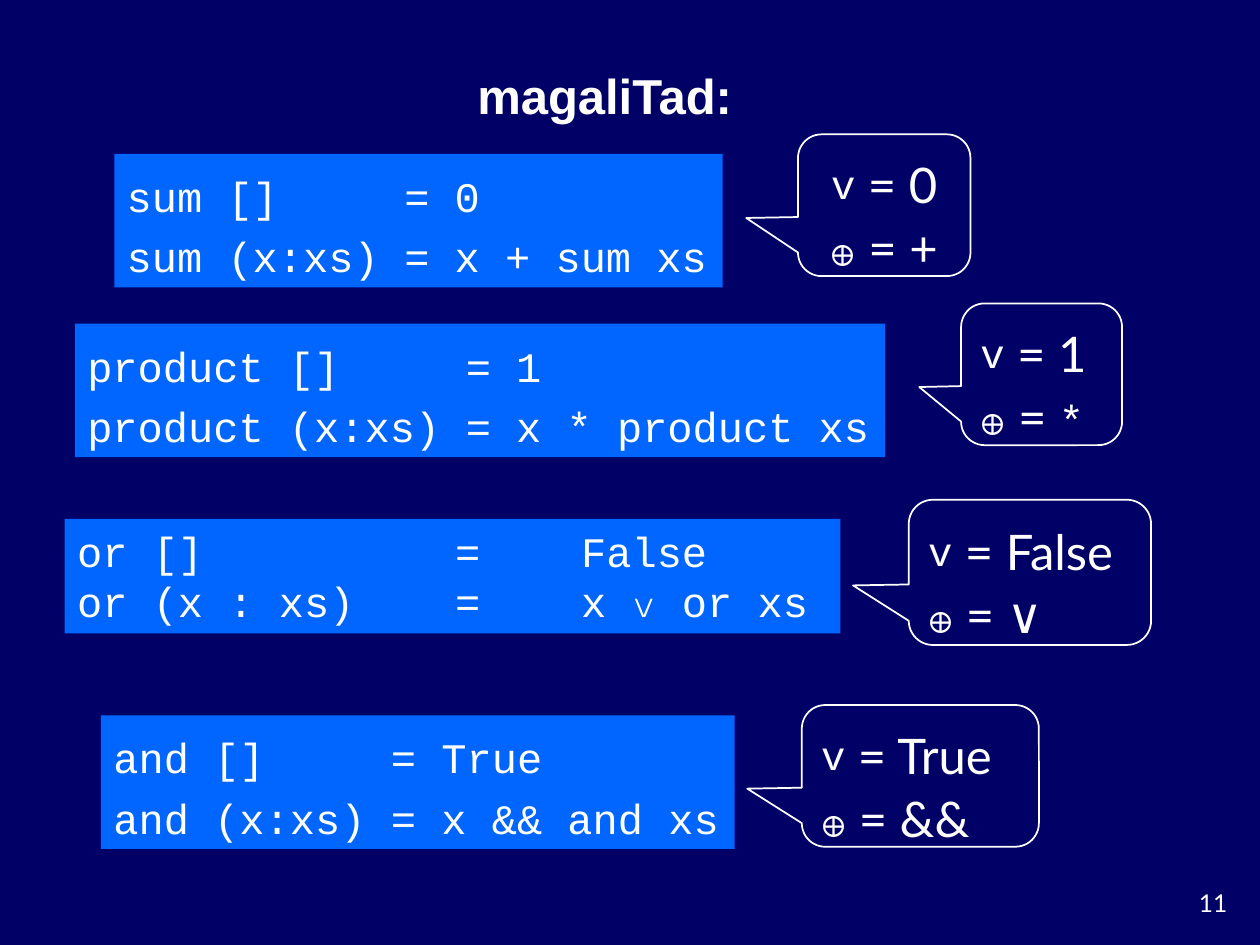
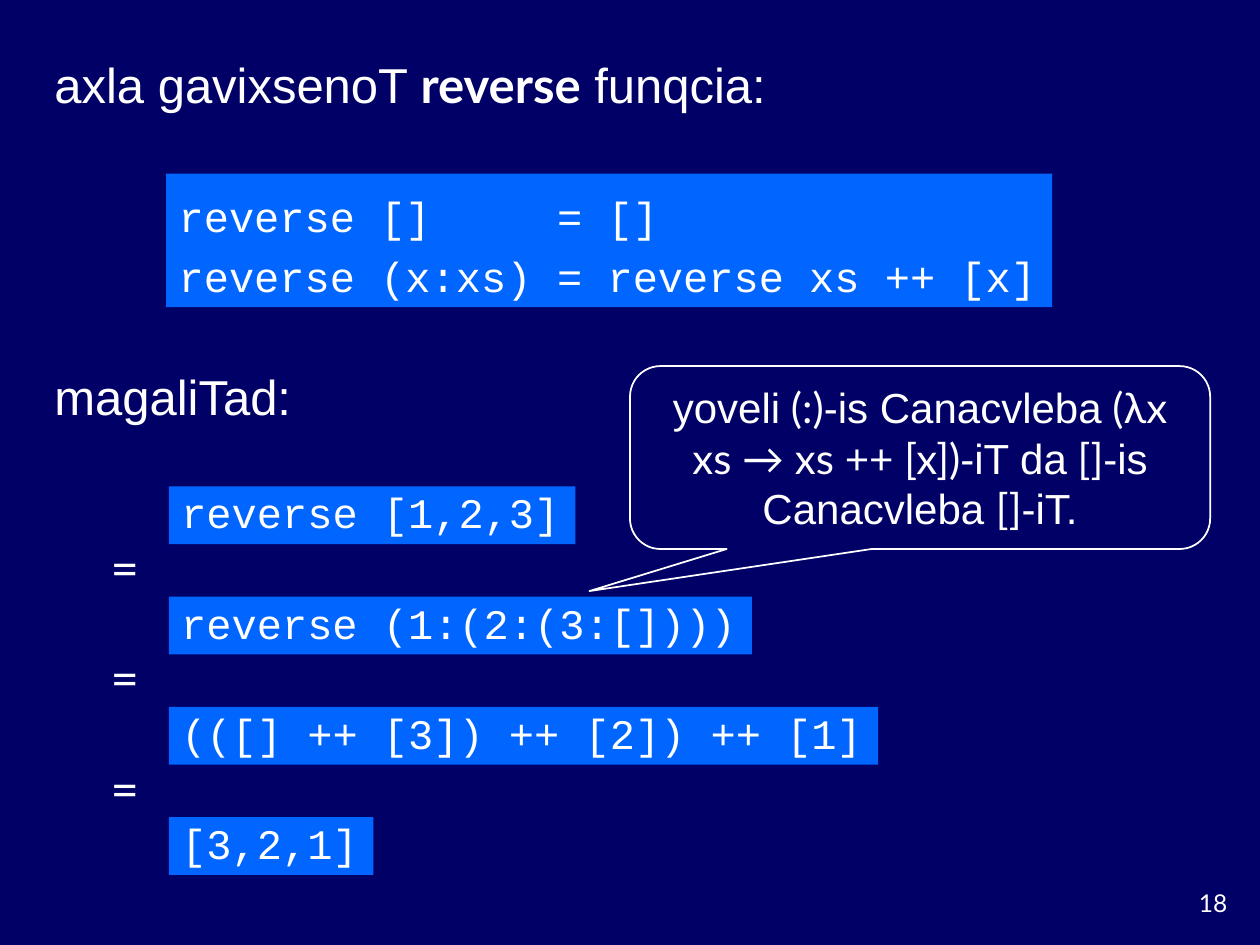
from dataclasses import dataclass
from typing import Optional

from lxml.etree import SubElement
from pptx import Presentation
from pptx.dml.color import RGBColor
from pptx.enum.shapes import MSO_SHAPE as SHAPE
from pptx.enum.text import MSO_ANCHOR as ANCHOR, PP_ALIGN as ALIGN
from pptx.oxml.ns import qn
from pptx.util import Pt

COLORS = {"navy": "000066", "blue": "0066FF", "white": "FFFFFF"}
SANS, BODY, MONO = "Arial", "Lato", "Courier New"
CODE_SIZE, CHAR_WIDTH, CODE_PADDING = 24, 14.42, 16


@dataclass
class Run:
    text: str
    font: str = BODY
    size: float = 28
    bold: bool = False
    baseline: int = 0


@dataclass
class Code:
    """Lines of code; cells of a line are aligned at tab stops."""
    left: float
    top: float
    lines: list[list[str]]
    height: float = 76.3
    spacing: float = 1.2
    width: Optional[float] = None
    stops: Optional[list[float]] = None
    anchor: ANCHOR = ANCHOR.MIDDLE


@dataclass
class Callout:
    left: float
    top: float
    width: float
    height: float
    tip: tuple[float, float]
    lines: list[list[Run]]
    align: ALIGN = ALIGN.LEFT


def rgb(name: str) -> RGBColor:
    return RGBColor.from_string(COLORS[name])


def write(sp, lines: list[list[Run]], align=ALIGN.LEFT, anchor=ANCHOR.MIDDLE,
          spacing: Optional[float] = None, stops=()) -> None:
    """Fill a shape with paragraphs, sharing font settings where runs agree."""
    tf = sp.text_frame
    tf.word_wrap = True
    tf.vertical_anchor = anchor
    for i, runs in enumerate(lines):
        p = tf.add_paragraph() if i else tf.paragraphs[0]
        p.alignment = align
        if spacing:
            p.line_spacing = spacing
        if stops:
            tabs = SubElement(p._p.get_or_add_pPr(), qn("a:tabLst"))
            for stop in stops:
                SubElement(tabs, qn("a:tab"), pos=str(int(Pt(stop))), algn="l")
        p.font.color.rgb = rgb("white")
        same = len({(run.font, run.size, run.bold) for run in runs}) == 1
        for run in runs:
            r = p.add_run()
            r.text = run.text
            font = p.font if same else r.font
            font.name, font.size, font.bold = run.font, Pt(run.size), run.bold
            if run.baseline:
                r._r.get_or_add_rPr().set("baseline", str(run.baseline * 1000))


def add_text(s, left: float, top: float, width: float, height: float,
             runs: list[Run], align=ALIGN.LEFT, anchor=ANCHOR.MIDDLE) -> None:
    sp = s.shapes.add_textbox(Pt(left), Pt(top), Pt(width), Pt(height))
    write(sp, [runs], align, anchor)


def add_code(s, code: Code) -> None:
    # The first column is as wide as its longest cell plus one character
    column = max(len(line[0]) for line in code.lines) + 1
    stops = code.stops
    if stops is None:
        stops = [column * CHAR_WIDTH] if len(code.lines) > 1 else []
    longest = max(column + len(line[1]) if len(line) > 1 else len(line[0])
                  for line in code.lines)
    width = code.width or longest * CHAR_WIDTH + CODE_PADDING
    sp = s.shapes.add_shape(SHAPE.RECTANGLE, Pt(code.left), Pt(code.top),
                            Pt(width), Pt(code.height))
    sp.shadow.inherit = False
    sp.fill.solid()
    sp.fill.fore_color.rgb = rgb("blue")
    sp.line.fill.background()
    lines = [[Run("\t".join(line), MONO, CODE_SIZE)] for line in code.lines]
    write(sp, lines, anchor=code.anchor, spacing=code.spacing, stops=stops)


def add_callout(s, callout: Callout) -> None:
    sp = s.shapes.add_shape(SHAPE.ROUNDED_RECTANGULAR_CALLOUT,
                            Pt(callout.left), Pt(callout.top),
                            Pt(callout.width), Pt(callout.height))
    sp.shadow.inherit = False
    sp.fill.background()
    sp.line.color.rgb = rgb("white")
    sp.line.width = Pt(1)
    sp.adjustments[0], sp.adjustments[1] = callout.tip
    write(sp, callout.lines, callout.align)


def fold_lines(value: str, operator: Run) -> list[list[Run]]:
    """The start value and operator that define a fold."""
    return [[Run("v", MONO, 40, baseline=6), Run(f" = {value}")],
            [Run("⊕", MONO, 24), Run(" = "), operator]]


def new_slide(prs, number: int):
    s = prs.slides.add_slide(prs.slide_layouts[6])
    s.background.fill.solid()
    s.background.fill.fore_color.rgb = rgb("navy")
    add_text(s, 660, 504, 48.5, 24, [Run(str(number), size=14)],
             ALIGN.RIGHT, ANCHOR.TOP)
    return s


def build_folds(prs) -> None:
    s = new_slide(prs, 11)
    add_text(s, 26.5, 34, 638, 41, [Run("magaliTad:", SANS, bold=True)], ALIGN.CENTER)

    # Recursive definitions
    for code in (
        Code(65.3, 87.9, [["sum []", "= 0"], ["sum (x:xs)", "= x + sum xs"]]),
        Code(42.8, 185, [["product []", "= 1"],
                         ["product (x:xs)", "= x * product xs"]]),
        Code(37, 296.5, [["or []", "=", "False"], ["or (x : xs)", "=", "x ∨ or xs"]],
             height=65.4, spacing=1.0, width=443.3, stops=[216, 288],
             anchor=ANCHOR.TOP),
        Code(57.7, 408.8, [["and []", "= True"], ["and (x:xs)", "= x && and xs"]]),
    ):
        add_code(s, code)

    # Fold parameters
    for callout in (
        Callout(456, 76.8, 98.6, 81, (-0.8, 0.09), fold_lines("0", Run("+")),
                ALIGN.CENTER),
        Callout(549.2, 173.4, 92, 81, (-0.76, 0.09),
                fold_lines("1", Run("*", MONO, 24))),
        Callout(519.3, 285.6, 138.5, 83, (-0.73, 0.09), fold_lines("False", Run("∨"))),
        Callout(458.2, 402.9, 135.5, 81, (-0.73, 0.09), fold_lines("True", Run("&&"))),
    ):
        add_callout(s, callout)


def build_reverse(prs) -> None:
    s = new_slide(prs, 18)
    add_text(s, 24, 27.5, 646, 41, [
        Run("axla gavixsenoT ", SANS), Run("reverse", bold=True),
        Run(" funqcia:", SANS)])
    add_code(s, Code(95, 99.3, [["reverse []", "= []"],
                                ["reverse (x:xs)", "= reverse xs ++ [x]"]]))
    add_text(s, 24, 206, 174, 41, [Run("magaliTad:", SANS)])

    # Evaluation steps, joined by equals signs
    steps = ["reverse [1,2,3]", "reverse (1:(2:(3:[])))",
             "(([] ++ [3]) ++ [2]) ++ [1]", "[3,2,1]"]
    for i, step in enumerate(steps):
        top = 278 + 63 * i
        add_code(s, Code(96.5, top, [[step]], height=33, spacing=0.9))
        if i:
            add_text(s, 54, top - 37.5, 34.6, 41, [Run("=")], ALIGN.CENTER)

    # Explanation, alternating between the two text fonts
    phrases = ["yoveli", " (:)", "-is Canacvleba", " (λx xs → xs ++ [x])",
               "-iT da", " []", "-is Canacvleba ", "[]", "-iT."]
    runs = [Run(text, (SANS, BODY)[i % 2], 24) for i, text in enumerate(phrases)]
    add_callout(s, Callout(360, 209.2, 331.5, 104.5, (-0.57, 0.73), [runs],
                           ALIGN.CENTER))


def main() -> None:
    prs = Presentation()
    prs.slide_width, prs.slide_height = Pt(720), Pt(540)
    build_folds(prs)
    build_reverse(prs)
    prs.save("out.pptx")


if __name__ == "__main__":
    main()
